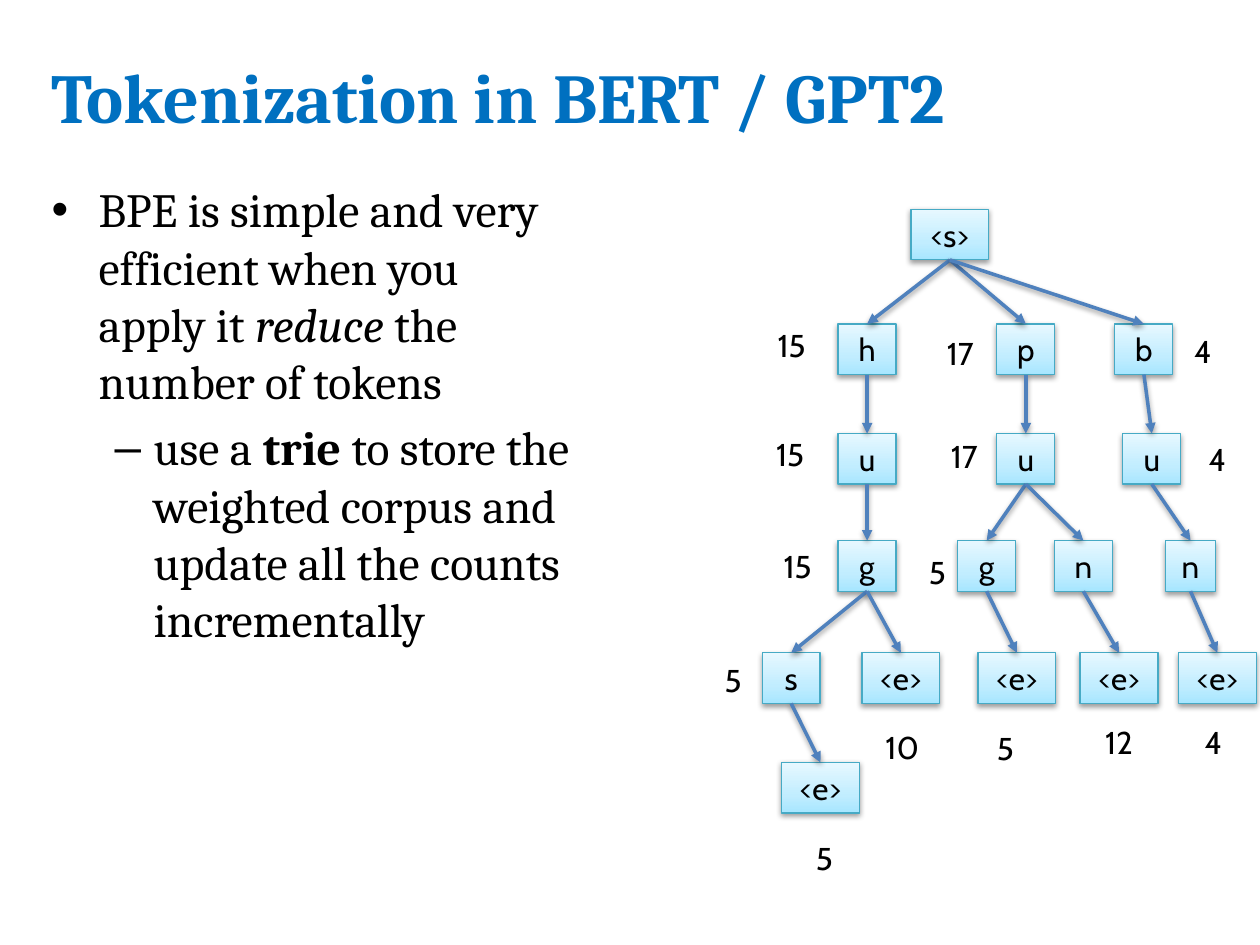
from copy import deepcopy
from dataclasses import dataclass
from typing import NamedTuple

from lxml.etree import SubElement
from pptx import Presentation
from pptx.dml.color import RGBColor
from pptx.enum.shapes import MSO_CONNECTOR, MSO_SHAPE
from pptx.enum.text import MSO_ANCHOR, MSO_AUTO_SIZE, PP_ALIGN
from pptx.oxml.ns import qn
from pptx.util import Cm, Pt


@dataclass(frozen=True)
class Theme:
    title_color: RGBColor = RGBColor(0x00, 0x70, 0xC0)
    text_color: RGBColor = RGBColor(0, 0, 0)
    node_line: RGBColor = RGBColor(0x46, 0xAA, 0xC5)
    edge: RGBColor = RGBColor(0x4F, 0x81, 0xBD)
    node_fill: tuple = ((0, "A7E6FF"), (0.35, "C1EDFF"), (1, "E7F8FF"))
    text_font: str = "Cambria"
    trie_font: str = "Cabin"
    title_size: Pt = Pt(40)
    body_size: Pt = Pt(27.2)
    trie_size: Pt = Pt(18)


class Box(NamedTuple):
    """A region of the slide, in centimetres."""
    left: float
    top: float
    width: float
    height: float

    def lengths(self):
        return [Cm(value) for value in self]


THEME = Theme()

# Trie: each key is the path from the root, "$" marks the end of a word
ROW_TOPS = (0, 2.31, 4.52, 6.68, 8.94, 11.15)
CENTERS = {
    "": 5.23,
    "h": 3.56, "p": 6.76, "b": 9.14,
    "hu": 3.56, "pu": 6.76, "bu": 9.3,
    "hug": 3.56, "pug": 5.97, "pun": 7.92, "bun": 10.08,
    "hugs": 2.03, "hug$": 4.24, "pug$": 6.58, "pun$": 8.64, "bun$": 10.62,
    "hugs$": 2.62,
}
NODE_HEIGHT = 1.02
LETTER_WIDTH, MARKER_WIDTH = 1.17, 1.57
SPECIAL_WIDTHS = {"bun": 1.02}
COUNT_WIDTH, COUNT_HEIGHT = 1.73, 1.03

# Count beside or below a node: value, shift right, shift down
COUNTS = {
    "h": (15, -1.52, -0.08), "p": (17, -1.32, 0.08), "b": (4, 1.19, 0.03),
    "hu": (15, -1.55, -0.1), "pu": (17, -1.24, -0.05), "bu": (4, 1.32, 0),
    "hug": (15, -1.4, 0), "pug": (5, -0.99, 0.13),
    "hugs": (5, -1.17, 0.05), "hug$": (10, 0.03, 1.4),
    "pug$": (5, -0.23, 1.42), "pun$": (12, 0, 1.3), "bun$": (4, -0.08, 1.3),
    "hugs$": (5, 0.08, 1.42),
}

# Body paragraphs: bullet, left margin, hanging indent, runs with their style
BODY = (
    ("•", 0.95, 0.95, (
        ("BPE is simple and very efficient when you apply it ", ""),
        ("reduce ", "italic"),
        ("the number of tokens", ""))),
    ("–", 2.06, 0.79, (
        ("use a ", ""),
        ("trie", "bold"),
        (" to store the weighted corpus and update all the counts "
         "incrementally", ""))),
)


def style_font(font, name, size, color):
    font.name, font.size = name, size
    font.color.rgb = color


def add_soft_shadow(part):
    effects = SubElement(part._element.spPr, qn("a:effectLst"))
    shadow = SubElement(effects, qn("a:outerShdw"), blurRad="40000",
                        dist="20000", dir="5400000", rotWithShape="0")
    black = SubElement(shadow, qn("a:srgbClr"), val="000000")
    SubElement(black, qn("a:alpha"), val="38000")


def fill_gradient(part):
    part.fill.gradient()
    part.fill.gradient_angle = 90
    stop_list = part._element.spPr.find(".//" + qn("a:gsLst"))
    stop_list.insert(1, deepcopy(stop_list[0]))
    for stop, (position, color) in zip(part.fill.gradient_stops,
                                       THEME.node_fill):
        stop.position = position
        stop.color.rgb = RGBColor.from_string(color)


def write_trie_text(frame, text):
    frame.word_wrap = True
    frame.auto_size = MSO_AUTO_SIZE.SHAPE_TO_FIT_TEXT
    line = frame.paragraphs[0]
    line.text = text
    line.alignment = PP_ALIGN.CENTER
    style_font(line.font, THEME.trie_font, THEME.trie_size, THEME.text_color)


def add_title(slide, box, text):
    frame = slide.shapes.add_textbox(*box.lengths()).text_frame
    frame.word_wrap = True
    frame.vertical_anchor = MSO_ANCHOR.MIDDLE
    heading = frame.paragraphs[0]
    heading.text = text
    style_font(heading.font, THEME.text_font, THEME.title_size,
               THEME.title_color)
    heading.font.bold = True


def add_body(slide, box):
    frame = slide.shapes.add_textbox(*box.lengths()).text_frame
    frame.word_wrap = True
    for level, (bullet, margin, hanging, pieces) in enumerate(BODY):
        point = frame.add_paragraph() if level else frame.paragraphs[0]
        point.level = level
        if level:
            point.space_before = Pt(5.4)
        properties = point._p.get_or_add_pPr()
        properties.set("marL", str(Cm(margin)))
        properties.set("indent", str(-Cm(hanging)))
        SubElement(properties, qn("a:buFont"), typeface="Arial")
        SubElement(properties, qn("a:buChar"), char=bullet)
        style_font(point.font, THEME.text_font, THEME.body_size,
                   THEME.text_color)
        for text, emphasis in pieces:
            run = point.add_run()
            run.text = text
            if emphasis:
                setattr(run.font, emphasis, True)


def add_node(slide, box, key):
    label = {"": "<s>", "$": "<e>"}.get(key[-1:], key[-1:])
    width = SPECIAL_WIDTHS.get(
        key, LETTER_WIDTH if len(label) == 1 else MARKER_WIDTH)
    place = Box(box.left + CENTERS[key] - width / 2,
                box.top + ROW_TOPS[len(key)], width, NODE_HEIGHT)
    node = slide.shapes.add_shape(MSO_SHAPE.RECTANGLE, *place.lengths())
    fill_gradient(node)
    node.line.color.rgb = THEME.node_line
    node.line.width = Pt(0.75)
    add_soft_shadow(node)
    write_trie_text(node.text_frame, label)
    return node


def add_edge(slide, parent, child):
    edge = slide.shapes.add_connector(MSO_CONNECTOR.STRAIGHT, 0, 0, 0, 0)
    edge.begin_connect(parent, 2)
    edge.end_connect(child, 0)
    edge.line.color.rgb = THEME.edge
    edge.line.width = Pt(2)
    SubElement(edge.line._get_or_add_ln(), qn("a:tailEnd"), type="triangle")
    add_soft_shadow(edge)


def add_trie(slide, box):
    # Nodes, and edges from each parent (the key without its last sign)
    nodes = {key: add_node(slide, box, key) for key in CENTERS}
    for key in nodes:
        if key:
            add_edge(slide, nodes[key[:-1]], nodes[key])
    # Counts
    for key, (count, right, down) in COUNTS.items():
        place = Box(box.left + CENTERS[key] + right - COUNT_WIDTH / 2,
                    box.top + ROW_TOPS[len(key)] + down,
                    COUNT_WIDTH, COUNT_HEIGHT)
        label = slide.shapes.add_textbox(*place.lengths())
        write_trie_text(label.text_frame, str(count))


def main():
    deck = Presentation()
    deck.slide_width, deck.slide_height = Cm(25.4), Cm(19.05)
    slide = deck.slides.add_slide(deck.slide_layouts[6])
    add_title(slide, Box(0.79, 0.81, 24.03, 2.24),
              "Tokenization in BERT / GPT2")
    add_body(slide, Box(0.79, 3.51, 11.07, 10.19))
    add_trie(slide, Box(13.92, 4.22, 11.48, 13.61))
    deck.save("out.pptx")


if __name__ == "__main__":
    main()
